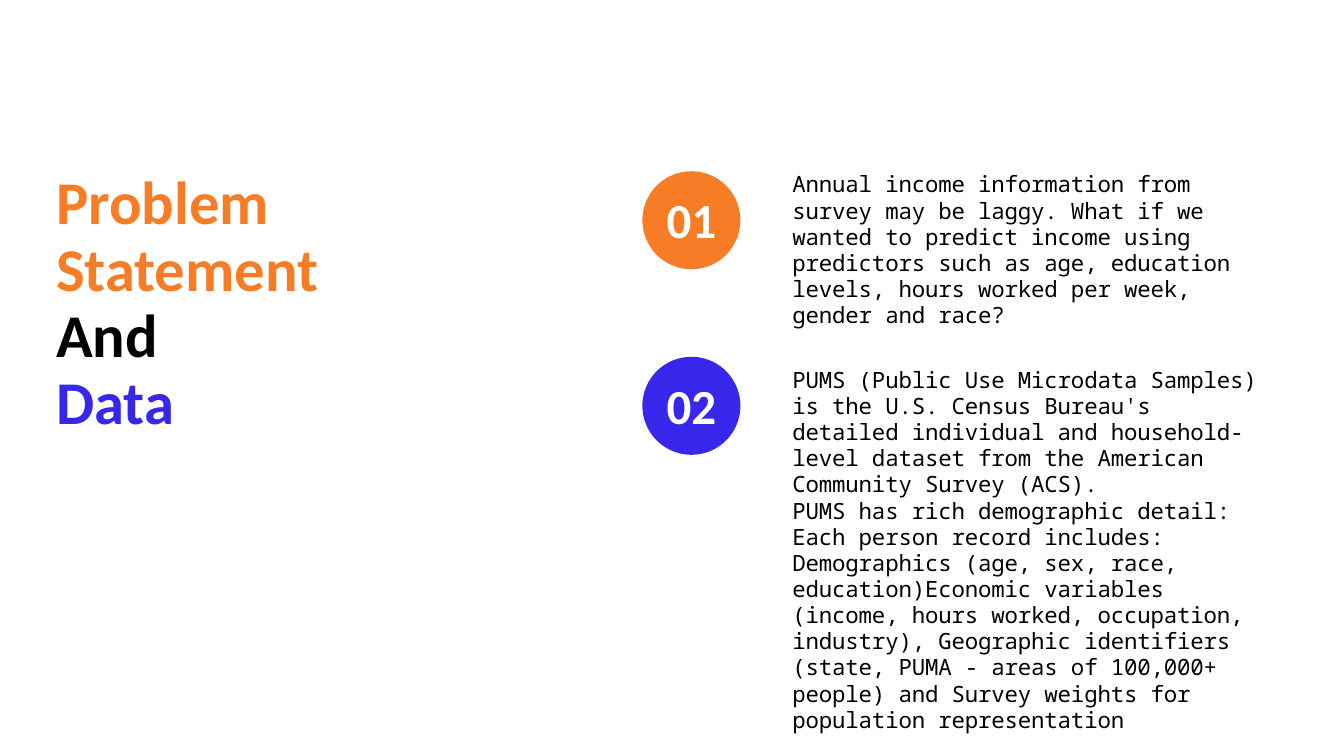
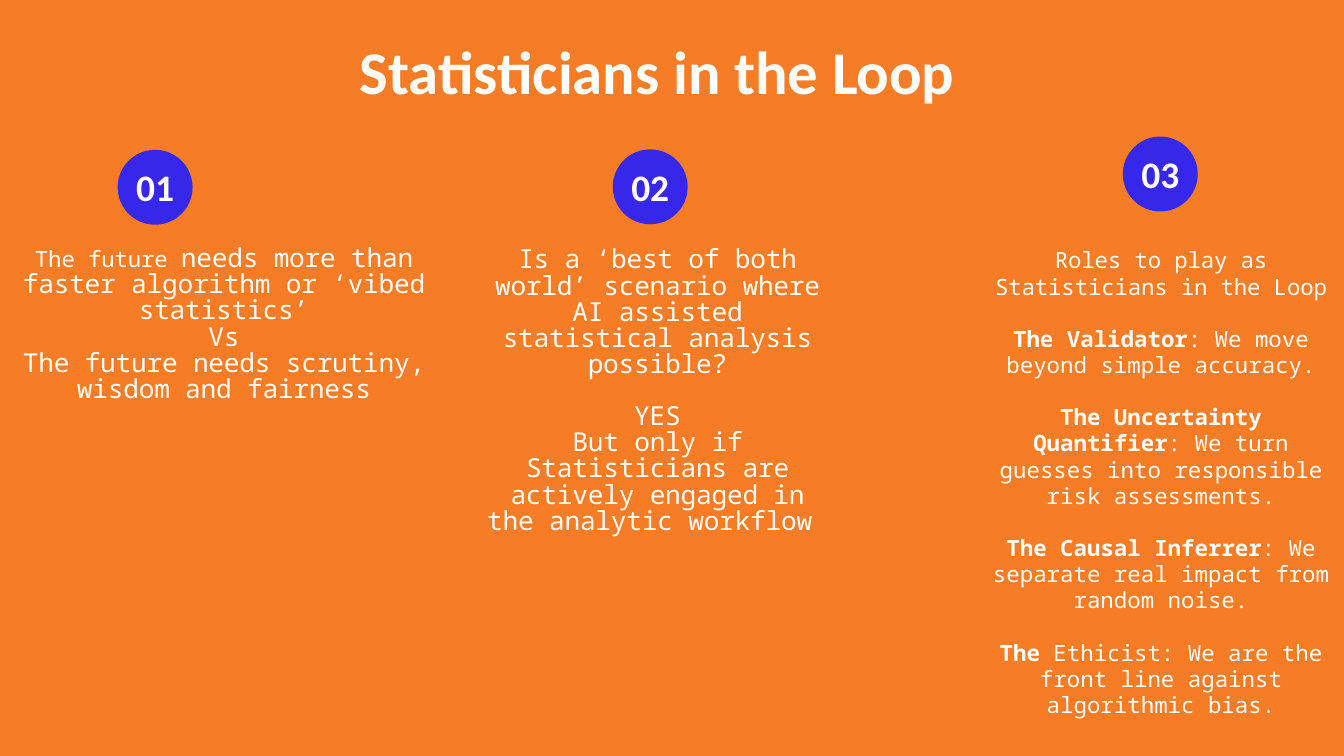
from pptx import Presentation
from pptx.dml.color import RGBColor
from pptx.enum.shapes import MSO_SHAPE
from pptx.enum.text import MSO_ANCHOR, MSO_AUTO_SIZE, PP_ALIGN
from pptx.util import Pt

ORANGE = RGBColor(0xF6, 0x7D, 0x26)
BLUE = RGBColor(0x37, 0x27, 0xEB)
BLACK = RGBColor(0, 0, 0)
WHITE = RGBColor(255, 255, 255)
OVAL = MSO_SHAPE.OVAL
TOP, MIDDLE = MSO_ANCHOR.TOP, MSO_ANCHOR.MIDDLE
FIXED, GROW = MSO_AUTO_SIZE.NONE, MSO_AUTO_SIZE.SHAPE_TO_FIT_TEXT
LEFT, CENTER = PP_ALIGN.LEFT, PP_ALIGN.CENTER

HEAD = {"name": "Calibri", "size": Pt(65), "bold": True}
BODY = {"name": "Noto Sans Mono", "size": Pt(24), "bold": False}
LARGE = {"size": Pt(28)}
BOLD = {"bold": True}
LEAD = 28
TIGHT = -20


class Deck:
    def __init__(self):
        self.prs = Presentation()
        self.prs.slide_width = Pt(1440)
        self.prs.slide_height = Pt(810)
        self.slide = None

    def start(self, back):
        self.slide = self.prs.slides.add_slide(self.prs.slide_layouts[5])
        fill = self.slide.background.fill
        fill.solid()
        fill.fore_color.rgb = back

    def put_text(self, frame, paras, look, color, align, lead):
        for i, (gap, *runs) in enumerate(paras):
            para = frame.paragraphs[0] if i == 0 else frame.add_paragraph()
            form = {"alignment": align, "line_spacing": Pt(lead),
                    "space_before": Pt(gap), "space_after": Pt(0)}
            for key, value in form.items():
                setattr(para, key, value)
            for text, extra in runs:
                run = para.add_run()
                run.text = text
                style = {**look, **extra}
                run.font.color.rgb = style.pop("color", color)
                track = style.pop("track", 0)
                for key, value in style.items():
                    setattr(run.font, key, value)
                if track:
                    run._r.get_or_add_rPr().set("spc", str(track))

    def frame(self, shape, anchor=TOP, size=FIXED, wrap=True):
        frame = shape.text_frame
        form = {"margin_left": 0, "margin_right": 0, "margin_top": 0,
                "margin_bottom": 0, "word_wrap": wrap,
                "auto_size": size, "vertical_anchor": anchor}
        for key, value in form.items():
            setattr(frame, key, value)
        return frame

    def title(self, box, paras, color=WHITE, align=LEFT):
        shape = self.slide.shapes.title
        for key, value in zip(("left", "top", "width", "height"), box):
            setattr(shape, key, Pt(value))
        self.put_text(self.frame(shape), paras, HEAD, color, align, 71.5)

    def body(self, box, paras, color, align=LEFT, look=None):
        shape = self.slide.shapes.add_textbox(*map(Pt, box))
        frame = self.frame(shape, size=GROW)
        self.put_text(frame, paras, {**BODY, **(look or {})}, color, align, LEAD)

    def badge(self, x, y, side, num, color):
        shape = self.slide.shapes.add_shape(OVAL, *map(Pt, (x, y, side, side)))
        shape.shadow.inherit = False
        shape.fill.solid()
        shape.fill.fore_color.rgb = color
        shape.line.fill.background()
        frame = self.frame(shape, MIDDLE, wrap=False)
        frame.margin_top = Pt(3)
        size = side / 2
        look = {**HEAD, "size": Pt(size)}
        text = [(0, (f"{num:02d}", {}))]
        self.put_text(frame, text, look, WHITE, CENTER, size * 1.1)


def problem(deck):
    deck.start(WHITE)
    deck.title((60, 182, 517.7, 291), [
        (0, ("Problem Statement", {"color": ORANGE})),
        (0, ("And", {"color": BLACK})),
        (0, ("Data", {"color": BLUE})),
    ])
    goal = [(0, ("Annual income information from survey may be laggy. What if "
                 "we wanted to predict income using predictors such as age, "
                 "education levels, hours worked per week, gender and race?", {}))]
    data = [
        (0, ("PUMS (Public Use Microdata Samples) is the U.S. Census Bureau's "
             "detailed individual and household-level dataset from the "
             "American Community Survey (ACS).", {})),
        (0, ("PUMS has rich demographic detail: Each person record includes: "
             "Demographics (age, sex, race, education)Economic variables "
             "(income, hours worked, occupation, industry), Geographic "
             "identifiers (state, PUMA - areas of 100,000+ people) and Survey "
             "weights for population representation", {})),
    ]
    rows = [(183.5, 183.5, 170, ORANGE, goal), (382.3, 393, 396, BLUE, data)]
    for num, (spot, top, high, color, paras) in enumerate(rows, 1):
        deck.badge(688.3, spot, 105, num, color)
        deck.body((849, top, 510.5, high), paras, BLACK, look={"track": TIGHT})


def loop(deck):
    deck.start(ORANGE)
    deck.title((166, 42.5, 1077, 73), [(0, ("Statisticians in the Loop", {}))],
               align=CENTER)
    need = [
        (0, ("The future ", {"size": Pt(24)}),
         ("needs more than faster algorithm or ‘vibed statistics’", {})),
        (0, ("Vs", {})),
        (0, ("The future needs scrutiny, wisdom and fairness", {})),
    ]
    best = [
        (0, ("Is a ‘best of both world’ scenario where AI assisted "
             "statistical analysis possible?", {})),
        (LEAD, ("YES", {})),
        (0, ("But only if Statisticians are actively engaged in the "
             "analytic workflow ", {})),
    ]
    parts = [
        ("The Validator", ": We move beyond simple accuracy."),
        ("The Uncertainty Quantifier",
         ": We turn guesses into responsible risk assessments."),
        ("The Causal Inferrer", ": We separate real impact from random noise."),
        ("The ", "Ethicist: We are the front line against algorithmic bias."),
    ]
    roles = [(0, ("Roles to play as Statisticians in the Loop",
                  {"track": TIGHT}))]
    roles += [(LEAD, (name, BOLD), (text, {})) for name, text in parts]
    wide = {**LARGE, "track": TIGHT}
    cols = [
        (126, 160.5, (0, 264.3, 480, 198), need, wide),
        (656.5, 160, (519, 265.7, 371, 311), best, wide),
        (1203, 146.3, (1058.4, 265, 371, 509), roles, {}),
    ]
    for num, (x, y, box, paras, look) in enumerate(cols, 1):
        deck.badge(x, y, 80.3, num, BLUE)
        deck.body(box, paras, WHITE, CENTER, look)


def main():
    deck = Deck()
    problem(deck)
    loop(deck)
    deck.prs.save("out.pptx")


if __name__ == "__main__":
    main()
